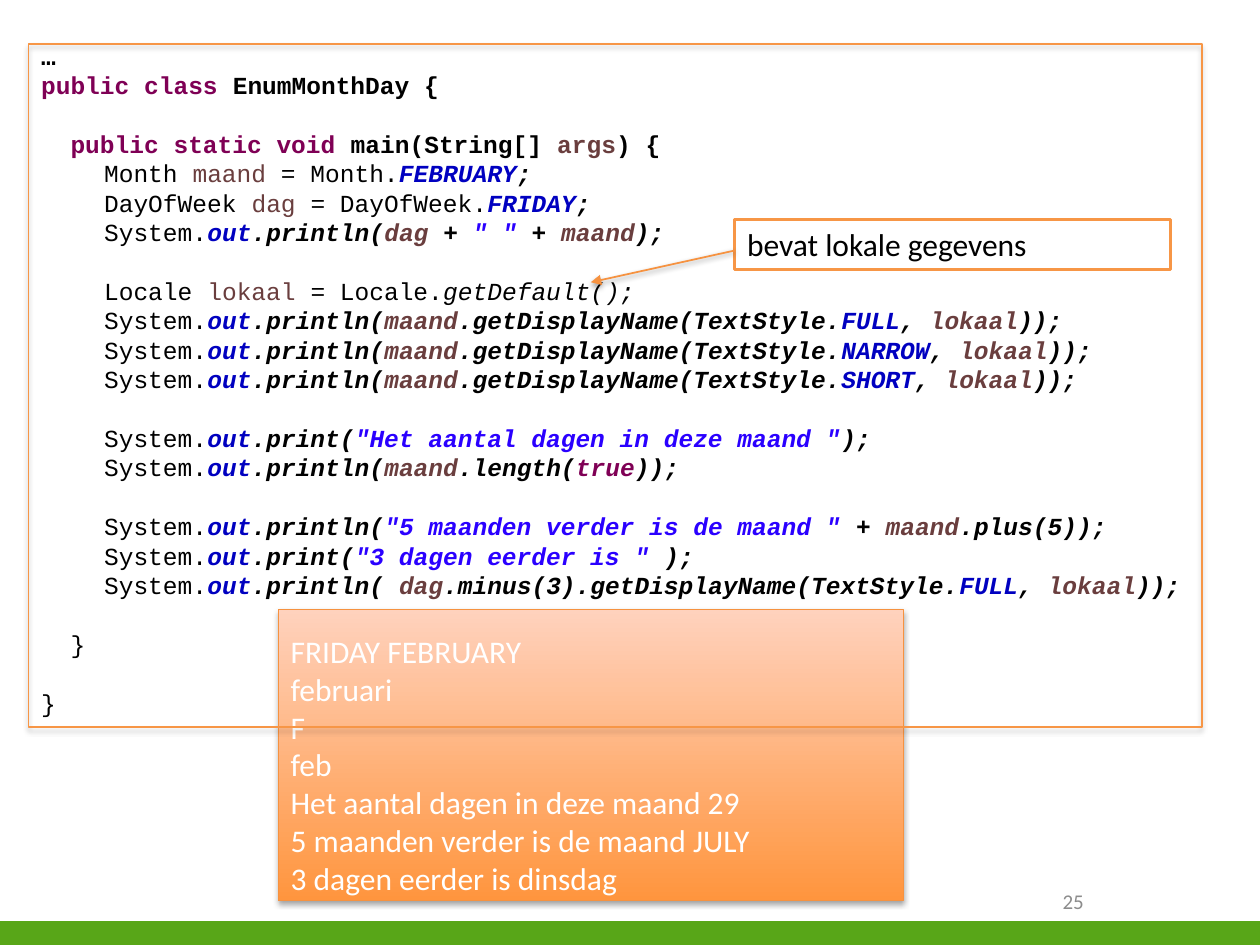
import pptx
import pptx.dml.color
import pptx.enum.shapes
import pptx.enum.text
import pptx.oxml
import pptx.oxml.ns
import pptx.util
from pptx.util import Cm, Pt

COLORS = {
    "black": "000000", "white": "FFFFFF", "gray": "8C8C8C", "green": "58A618",
    "keyword": "7F0055", "variable": "6A3E3E", "constant": "0000C0", "string": "2A00FF",
    "frame": "F79646", "accent": "F69240", "deep": "FF953E", "pale": "FFD2BD",
}
STYLES = {
    "plain": ("black", False, False),
    "bold": ("black", True, False),
    "italic": ("black", False, True),
    "call": ("black", True, True),
    "keyword": ("keyword", True, False),
    "literal": ("keyword", True, True),
    "declared": ("variable", False, False),
    "parameter": ("variable", True, False),
    "variable": ("variable", True, True),
    "constant": ("constant", True, True),
    "string": ("string", True, True),
}
LINE_PITCH = Pt(16.8)


def output_call(opening, *parts):
    return [("plain", "\tSystem."), ("constant", "out"), ("call", opening), *parts]


def declaration(kind, name, value):
    return [("plain", f"\t{kind} "), ("declared", name), ("plain", f" = {kind}."),
            ("constant", value), ("call", ";")]


def display_name(style):
    return [("call", ".getDisplayName(TextStyle."), ("constant", style), ("call", ", "),
            ("variable", "lokaal"), ("call", "));")]


CODE_BLOCKS = [
    [
        [("bold", "…")],
        [("keyword", "public class "), ("bold", "EnumMonthDay {")],
    ],
    [
        [("keyword", "  public static void"), ("bold", " main(String[] "),
         ("parameter", "args"), ("bold", ") {")],
        declaration("Month", "maand", "FEBRUARY"),
        declaration("DayOfWeek", "dag", "FRIDAY"),
        output_call(".println(", ("variable", "dag "), ("call", "+ "), ("string", '" "'),
                    ("call", " + "), ("variable", "maand"), ("call", ");")),
    ],
    [
        [("plain", "\tLocale "), ("declared", "lokaal"), ("plain", " = Locale."),
         ("italic", "getDefault();")],
        *[output_call(".println(", ("variable", "maand"), *display_name(style))
          for style in ("FULL", "NARROW", "SHORT")],
    ],
    [
        output_call(".print(", ("string", '"Het aantal dagen in deze maand "'), ("call", ");")),
        output_call(".println(", ("variable", "maand"), ("call", ".length("),
                    ("literal", "true"), ("call", "));")),
    ],
    [
        output_call(".println(", ("string", '"5 maanden verder is de maand "'),
                    ("call", " + "), ("variable", "maand"), ("call", ".plus(5));")),
        output_call(".print(", ("string", '"3 dagen eerder is "'), ("call", " );")),
        output_call(".println( ", ("variable", "dag"), ("call", ".minus(3)"),
                    *display_name("FULL")),
    ],
    [[("plain", "  }")]],
    [[("plain", "}")]],
]
OUTPUT_LINES = [
    "FRIDAY FEBRUARY", "februari", "F", "feb", "Het aantal dagen in deze maand 29",
    "5 maanden verder is de maand JULY", "3 dagen eerder is dinsdag",
]


def color(name):
    return pptx.dml.color.RGBColor.from_string(COLORS[name])


def add_rectangle(slide, box, fill=None, line=None, width=0.75):
    shape = slide.shapes.add_shape(pptx.enum.shapes.MSO_SHAPE.RECTANGLE, *map(Cm, box))
    shape.shadow.inherit = False
    if fill:
        shape.fill.solid()
        shape.fill.fore_color.rgb = color(fill)
    else:
        shape.fill.background()
    if line:
        shape.line.color.rgb = color(line)
        shape.line.width = Pt(width)
    else:
        shape.line.fill.background()
    return shape


def set_effect(shape, alpha=None, distance=1.8):
    properties = shape._element.spPr
    for effects in properties.findall(pptx.oxml.ns.qn("a:effectLst")):
        properties.remove(effects)
    shadow = "" if alpha is None else (
        f'<a:outerShdw blurRad="{Pt(3.1)}" dist="{Pt(distance)}" dir="5400000" rotWithShape="0">'
        f'<a:srgbClr val="{COLORS["black"]}"><a:alpha val="{alpha * 1000}"/></a:srgbClr>'
        '</a:outerShdw>')
    properties.append(pptx.oxml.parse_xml(
        f'<a:effectLst {pptx.oxml.ns.nsdecls("a")}>{shadow}</a:effectLst>'))


def add_run(paragraph, text, font, size, shade, bold=False, italic=False):
    run = paragraph.add_run()
    run.text = text
    run.font.name = font
    run.font.size = Pt(size)
    run.font.color.rgb = color(shade)
    run.font.bold = bold
    run.font.italic = italic


def write_lines(shape, lines, size, shade, align="LEFT", anchor="TOP"):
    frame = shape.text_frame
    frame.word_wrap = True
    frame.vertical_anchor = getattr(pptx.enum.text.MSO_ANCHOR, anchor)
    for index, text in enumerate(lines):
        paragraph = frame.add_paragraph() if index else frame.paragraphs[0]
        paragraph.alignment = getattr(pptx.enum.text.PP_ALIGN, align)
        add_run(paragraph, text, "Calibri", size, shade)


def add_code(slide):
    frame = slide.shapes.add_textbox(Cm(0.58), Cm(0.64), Cm(24.31), Cm(14.02)).text_frame
    frame.word_wrap = True
    frame.margin_top = Cm(0.18)
    paragraph = None
    for block in CODE_BLOCKS:
        for index, line in enumerate(block):
            first = paragraph is None
            paragraph = frame.paragraphs[0] if first else frame.add_paragraph()
            paragraph.line_spacing = LINE_PITCH
            paragraph.space_before = LINE_PITCH if index == 0 and not first else Pt(0)
            paragraph._p.get_or_add_pPr().append(pptx.oxml.parse_xml(
                f'<a:tabLst {pptx.oxml.ns.nsdecls("a")}>'
                f'<a:tab pos="{Cm(1.27)}" algn="l"/></a:tabLst>'))
            for style, text in line:
                add_run(paragraph, text, "Courier New", 14, *STYLES[style])


def add_arrow(slide):
    arrow = slide.shapes.add_connector(
        pptx.enum.shapes.MSO_CONNECTOR.STRAIGHT, Cm(14.81), Cm(5.05), Cm(11.91), Cm(5.69))
    arrow.line.color.rgb = color("accent")
    arrow.line.width = Pt(1)
    arrow.line._get_or_add_ln().append(pptx.oxml.parse_xml(
        f'<a:tailEnd {pptx.oxml.ns.nsdecls("a")} type="triangle"/>'))
    set_effect(arrow, 38, 1.6)


def main():
    presentation = pptx.Presentation()
    presentation.slide_width, presentation.slide_height = Cm(25.4), Cm(19.05)
    slide = presentation.slides.add_slide(presentation.slide_layouts[6])

    add_rectangle(slide, (0, 18.57, 25.4, 0.48), fill="green")
    number = slide.shapes.add_textbox(Cm(18.21), Cm(17.65), Cm(3.89), Cm(1.02))
    write_lines(number, ["25"], 12, "gray", align="RIGHT", anchor="MIDDLE")
    add_code(slide)

    output = add_rectangle(slide, (5.61, 12.29, 12.6, 5.87), line="accent")
    output.fill.gradient()
    output.fill.gradient_angle = 90
    for stop, name in zip(output.fill.gradient_stops, ("deep", "pale")):
        stop.color.rgb = color(name)
    set_effect(output, 35)
    output.text_frame.margin_top = Cm(0.45)
    write_lines(output, OUTPUT_LINES, 18, "white")

    set_effect(add_rectangle(slide, (0.58, 0.89, 23.65, 13.77), line="frame"), 35)
    callout = add_rectangle(slide, (14.81, 4.42, 8.79, 1.02), line="frame", width=1.5)
    write_lines(callout, ["bevat lokale gegevens"], 18, "black")
    add_arrow(slide)
    presentation.save("out.pptx")


if __name__ == "__main__":
    main()
